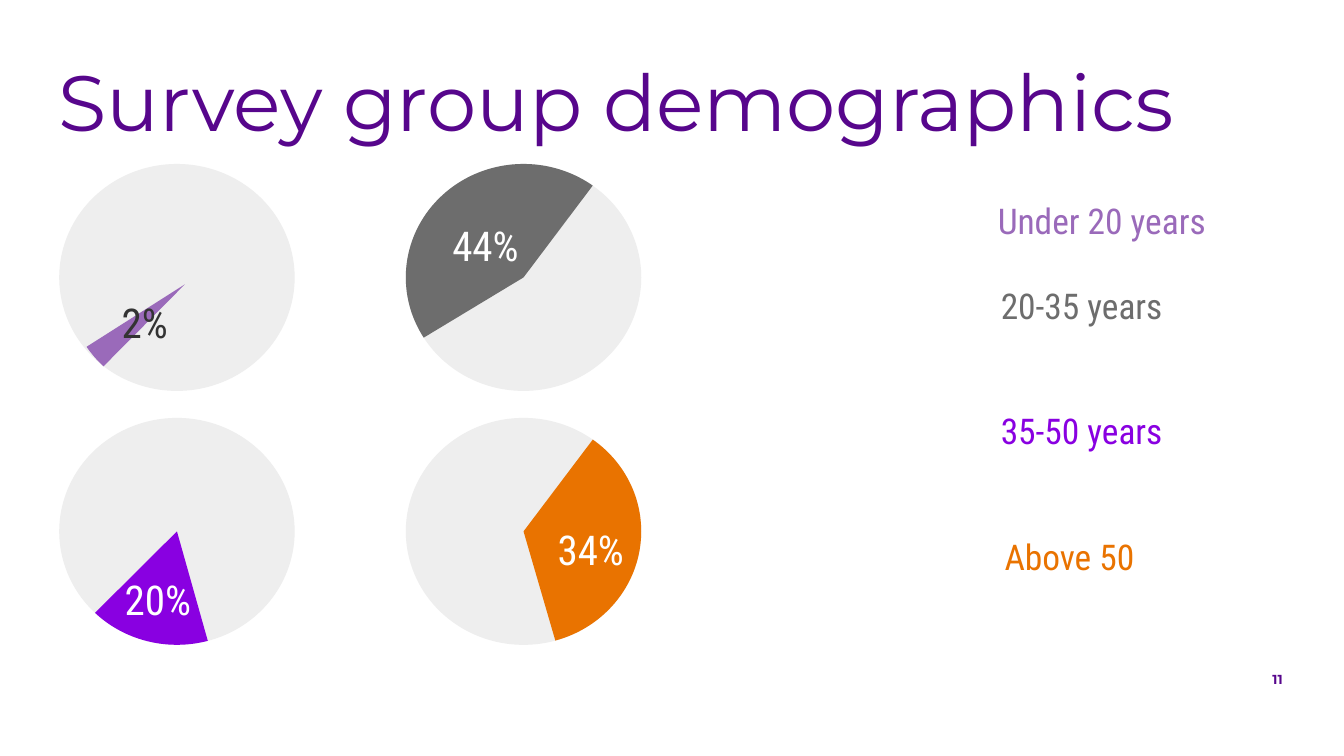
import pptx
import pptx.dml.color
import pptx.enum.shapes
import pptx.enum.text
import pptx.util

Cm = pptx.util.Cm
RGBColor = pptx.dml.color.RGBColor
SHAPE = pptx.enum.shapes.MSO_SHAPE
ALIGN = pptx.enum.text.PP_ALIGN
ANCHOR = pptx.enum.text.MSO_ANCHOR

INDIGO = RGBColor(0x57, 0x06, 0x8C)
LILAC = RGBColor(0x9A, 0x6A, 0xBA)
GRAY = RGBColor(0x6D, 0x6D, 0x6D)
VIOLET = RGBColor(0x89, 0x00, 0xE1)
ORANGE = RGBColor(0xE9, 0x73, 0x00)
PALE = RGBColor(0xEE, 0xEE, 0xEE)
DARK = RGBColor(0x33, 0x33, 0x33)
WHITE = RGBColor(0xFF, 0xFF, 0xFF)

HEADING_FONT = "Montserrat"
BODY_FONT = "Roboto Condensed"
PIE_WIDTH, PIE_HEIGHT = 4.45, 4.29
COLUMNS = (1.12, 7.67)
ROWS = (3.1, 7.9)


def add_label(shapes, box, text, size, color, align, font=BODY_FONT, anchor=ANCHOR.MIDDLE):
    """Place one line of text in a box given in centimetres and return its paragraph."""
    label = shapes.add_textbox(*map(Cm, box))
    frame = label.text_frame
    frame.word_wrap = True
    frame.vertical_anchor = anchor
    frame.margin_left = frame.margin_right = Cm(0.25)
    frame.margin_top = frame.margin_bottom = Cm(0.25)
    frame.text = text
    para = frame.paragraphs[0]
    para.alignment = align
    span = para.runs[0]
    span.font.name = font
    span.font.size = pptx.util.Pt(size)
    span.font.color.rgb = color
    return para


def add_disc(shapes, kind, box, color):
    """Add a flat borderless shape."""
    disc = shapes.add_shape(kind, *map(Cm, box))
    disc.shadow.inherit = False
    disc.fill.solid()
    disc.fill.fore_color.rgb = color
    disc.line.fill.background()
    return disc


def add_share(page, box, text, color, text_color, angles, label_offset, slice_offset=(0, 0)):
    """Group a pale disc, its slice between two angles in degrees, and a percentage."""
    left, top, width, height = box
    group = page.shapes.add_group_shape()
    add_disc(group.shapes, SHAPE.OVAL, box, PALE)
    slice_box = (left + slice_offset[0], top + slice_offset[1], width, height)
    wedge = add_disc(group.shapes, SHAPE.PIE, slice_box, color)
    for index, angle in enumerate(angles):
        wedge.adjustments[index] = angle * 0.6
    label_box = (left + label_offset[0], top + label_offset[1], 2.41, 1.45)
    add_label(group.shapes, label_box, text, 22, text_color, ALIGN.CENTER)


def add_shares(page):
    """Lay the four age shares out on a two by two grid."""
    shares = (
        (0, 0, "2%", LILAC, DARK, (134.76, 147.55), (0.41, 2.26), (0.15, 0.13)),
        (1, 0, "44%", GRAY, WHITE, (148.89, 307), (0.3, 0.81)),
        (0, 1, "20%", VIOLET, WHITE, (74.25, 135.12), (0.66, 2.69)),
        (1, 1, "34%", ORANGE, WHITE, (307.06, 73.75), (2.29, 1.75)),
    )
    for column, row, *details in shares:
        add_share(page, (COLUMNS[column], ROWS[row], PIE_WIDTH, PIE_HEIGHT), *details)


def add_legend(page, box):
    """List the age groups in their slice colours, each ending at its own right edge."""
    left, top, width, height = box
    entries = (
        ("Under 20 years", LILAC, 0, 1.35),
        ("20-35 years", GRAY, 1.62, 0.53),
        ("35-50 years", VIOLET, 3.98, 0.53),
        ("Above 50", ORANGE, 6.35, 0),
    )
    for text, color, drop, shift in entries:
        add_label(page.shapes, (left + shift, top + drop, width, height),
                  text, 19, color, ALIGN.RIGHT)


def add_title(page, box):
    """Add the slide heading."""
    para = add_label(page.shapes, box, "Survey group demographics", 42, INDIGO,
                     ALIGN.LEFT, HEADING_FONT)
    para.line_spacing = 0.85


def add_page_number(page, box):
    """Add the page number at the lower right."""
    para = add_label(page.shapes, box, "11", 7, INDIGO, ALIGN.RIGHT,
                     HEADING_FONT, ANCHOR.TOP)
    para.runs[0].font.bold = True


def main():
    """Build and save the slide."""
    deck = pptx.Presentation()
    deck.slide_width, deck.slide_height = Cm(25.4), Cm(14.29)
    page = deck.slides.add_slide(deck.slide_layouts[6])
    add_title(page, (0.86, 1.24, 23.4, 1.6))
    add_shares(page)
    add_legend(page, (17.17, 3.84, 4.52, 0.64))
    add_page_number(page, (12.83, 12.55, 11.66, 0.86))
    deck.save("out.pptx")


if __name__ == "__main__":
    main()
